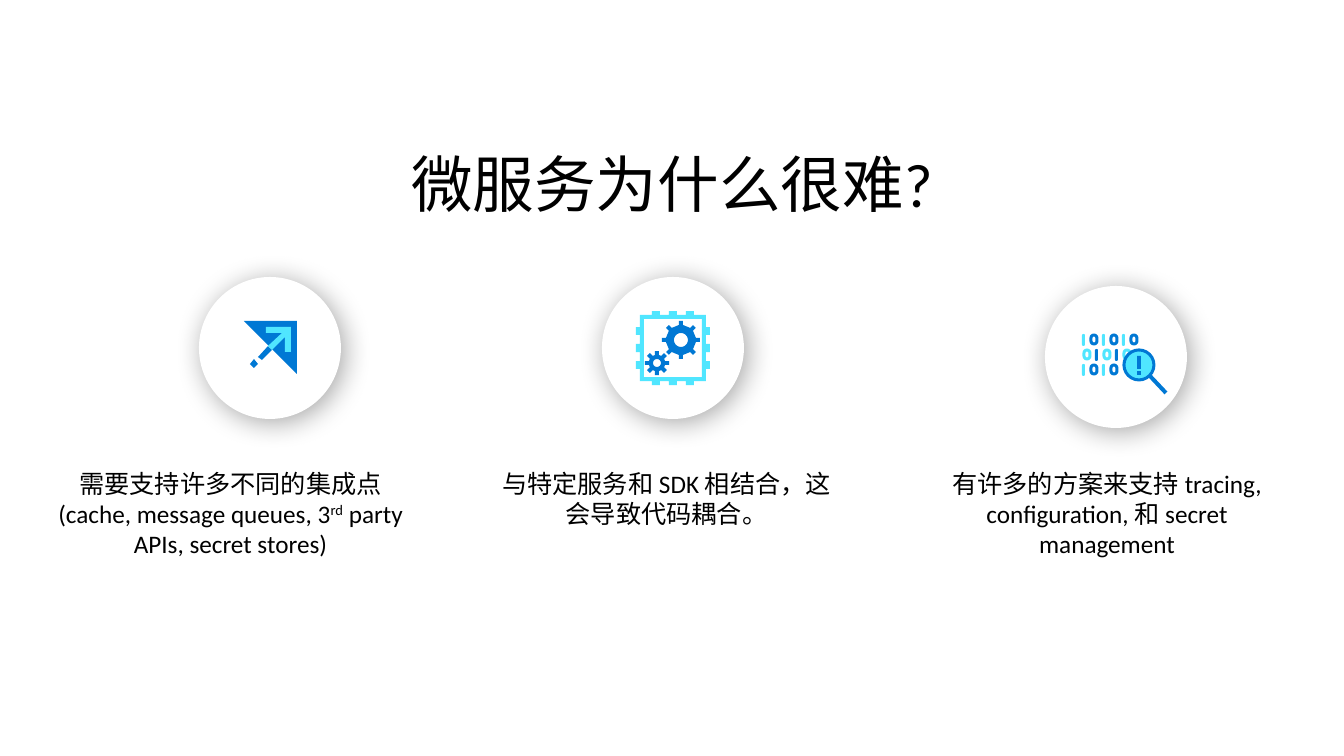
import math

from lxml import etree
from pptx import Presentation
from pptx.dml.color import RGBColor
from pptx.enum.shapes import MSO_CONNECTOR, MSO_SHAPE
from pptx.enum.text import MSO_ANCHOR, PP_ALIGN
from pptx.oxml.ns import qn
from pptx.util import Pt

PX = 914400 / 100.8
OVAL, RECT, ROUNDED = MSO_SHAPE.OVAL, MSO_SHAPE.RECTANGLE, MSO_SHAPE.ROUNDED_RECTANGLE
STRAIGHT, CENTER = MSO_CONNECTOR.STRAIGHT, PP_ALIGN.CENTER
TOP, MIDDLE = MSO_ANCHOR.TOP, MSO_ANCHOR.MIDDLE
COLORS = {"black": "000000", "white": "FFFFFF", "blue": "0078D4", "cyan": "50E6FF"}
BADGE = 142
CAPTION_FRAME = {"margin_left": 0, "margin_top": 0, "margin_right": 0, "margin_bottom": 0,
                 "word_wrap": True, "vertical_anchor": TOP}


def emu(*pixels):
    return [round(value * PX) for value in pixels]


def rgb(name):
    return RGBColor.from_string(COLORS[name])


def apply(target, values):
    for key, value in values.items():
        setattr(target, key, value)


def paint(shape, fill, outline=None, stroke=0):
    shape.shadow.inherit = False
    if fill:
        shape.fill.solid()
        shape.fill.fore_color.rgb = rgb(fill)
    else:
        shape.fill.background()
    if outline:
        shape.line.color.rgb = rgb(outline)
        shape.line.width = emu(stroke)[0]
    else:
        shape.line.fill.background()
    return shape


def add_preset(group, preset, box, fill, outline=None, stroke=0):
    return paint(group.shapes.add_shape(preset, *emu(*box)), fill, outline, stroke)


def add_outline(group, origin, contours, fill):
    contours = [[emu(origin[0] + x, origin[1] + y) for x, y in points] for points in contours]
    builder = group.shapes.build_freeform(*contours[0][0])
    builder.add_line_segments(contours[0][1:])
    for points in contours[1:]:
        builder.move_to(*points[0])
        builder.add_line_segments(points[1:])
    paint(builder.convert_to_shape(), fill)


def add_badge(slide, left, top):
    group = slide.shapes.add_group_shape()
    disc = add_preset(group, OVAL, (left, top, BADGE, BADGE), "white")
    effects = disc._element.spPr.find(qn("a:effectLst"))
    shadow = etree.SubElement(effects, qn("a:outerShdw"), blurRad=str(Pt(20)),
                              dist=str(Pt(4)), dir="2700000", algn="tl", rotWithShape="0")
    tint = etree.SubElement(shadow, qn("a:srgbClr"), val=COLORS["black"])
    etree.SubElement(tint, qn("a:alpha"), val="35000")
    return group


def draw_integration(group, left, top):
    parts = [
        ("blue", [(45, 44), (98, 44), (98, 97)]),
        ("blue", [(69, 69), (59, 80), (63, 83), (73, 73)]),
        ("cyan", [(67, 50), (67, 56), (83, 56), (69, 69), (73, 73),
                  (86, 60), (86, 75), (92, 75), (92, 50)]),
        ("blue", [(55, 82), (51, 87), (55, 91), (59, 87)]),
    ]
    for color, points in parts:
        add_outline(group, (left, top), [points], color)


def turned(points, turns):
    result = []
    for turn in range(turns):
        angle = 2 * math.pi * turn / turns
        cos, sin = math.cos(angle), math.sin(angle)
        result += [(x * cos - y * sin, x * sin + y * cos) for x, y in points]
    return result


def add_gear(group, center, tip, body, hole):
    tooth = [(-2, -body), (-2, -tip), (2, -tip), (2, -body)]
    add_outline(group, center, [turned(tooth, 8), turned([(0, -hole)], 24)], "blue")


def draw_coupling(group, left, top):
    side = [(-33, -33)]
    for bump in (-17, 0, 17):
        side += [(bump - 4, -33), (bump - 4, -37), (bump + 4, -37), (bump + 4, -33)]
    add_outline(group, (left + 71, top + 71),
                [turned(side, 4), turned([(-29, -29)], 4)], "cyan")
    add_gear(group, (left + 79, top + 63), 19, 15, 7)
    add_gear(group, (left + 55, top + 86), 12, 8, 4)


def add_digit(group, digit, center, top, color):
    if digit == "0":
        shape = add_preset(group, ROUNDED, (center - 3, top + 1, 6, 9), None, color, 3)
    else:
        shape = add_preset(group, ROUNDED, (center - 2, top, 3, 12), color)
    shape.adjustments[0] = 0.5


def draw_inspection(group, left, top):
    rows = [("101010", 39, {"1": "cyan", "0": "blue"}),
            ("01010", 42, {"1": "blue", "0": "cyan"}),
            ("1010", 39, {"1": "cyan", "0": "blue"})]
    for row, (digits, start, colors) in enumerate(rows):
        for column, digit in enumerate(digits):
            add_digit(group, digit, left + start + 10 * column, top + 48 + 15 * row,
                      colors[digit])
    handle = group.shapes.add_connector(
        STRAIGHT, *emu(left + 105, top + 90, left + 121, top + 107))
    handle.line.color.rgb = rgb("blue")
    handle.line.width = emu(4)[0]
    etree.SubElement(handle._element.spPr, qn("a:effectLst"))
    add_preset(group, OVAL, (left + 79, top + 64, 30, 30), "cyan", "blue", 3)
    for mark_top, height in ((70, 13), (85, 4)):
        add_preset(group, RECT, (left + 92, top + mark_top, 4, height), "blue")


def write(paragraph, pieces, size):
    paragraph.alignment = CENTER
    for text, baseline in pieces:
        run = paragraph.add_run()
        run.text = text
        apply(run.font, {"name": "Calibri", "size": Pt(size)})
        run.font.color.rgb = rgb("black")
        if baseline:
            run._r.get_or_add_rPr().set("baseline", str(baseline))


def add_caption(slide, box, pieces):
    frame = slide.shapes.add_textbox(*emu(*box)).text_frame
    apply(frame, CAPTION_FRAME)
    write(frame.paragraphs[0], pieces, 18)


def add_heading(slide, box, text):
    heading = slide.shapes.title
    apply(heading, dict(zip(("left", "top", "width", "height"), emu(*box))))
    apply(heading.text_frame, {"vertical_anchor": MIDDLE, "word_wrap": True})
    paragraph = heading.text_frame.paragraphs[0]
    paragraph.line_spacing = 0.9
    write(paragraph, [(text, 0)], 44)


def add_reason(slide, badge, draw_icon, caption_box, pieces):
    draw_icon(add_badge(slide, *badge), *badge)
    add_caption(slide, caption_box, pieces)


REASONS = [
    ((199, 277), draw_integration, (58, 468, 345, 92),
     [("需要支持许多不同的集成点(cache, message queues, 3", 0), ("rd", 30000),
      (" party APIs, secret stores)", 0)]),
    ((602, 277), draw_coupling, (494, 468, 345, 62),
     [("与特定服务和 SDK 相结合，这会导致代码耦合。", 0)]),
    ((1045, 286), draw_inspection, (929, 468, 356, 133),
     [("有许多的方案来支持 tracing, configuration, 和 secret management", 0)]),
]

presentation = Presentation()
presentation.slide_width, presentation.slide_height = emu(1344, 756)
slide = presentation.slides.add_slide(presentation.slide_layouts[5])
add_heading(slide, (359, 133, 626, 110), "微服务为什么很难?")
for reason in REASONS:
    add_reason(slide, *reason)
presentation.save("out.pptx")
